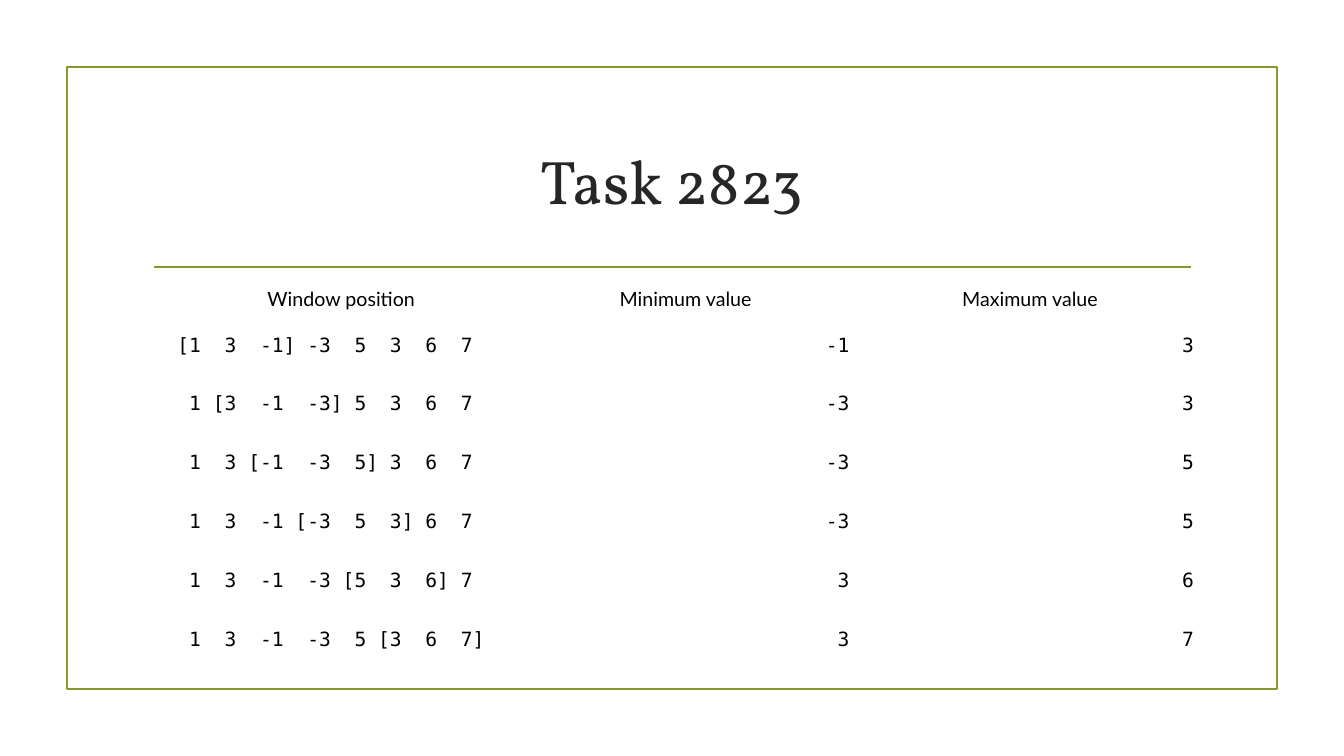
from dataclasses import dataclass

from pptx import Presentation
from pptx.dml.color import RGBColor
from pptx.enum.shapes import MSO_CONNECTOR, MSO_SHAPE
from pptx.enum.text import MSO_ANCHOR, MSO_AUTO_SIZE, PP_ALIGN
from pptx.oxml.ns import qn
from pptx.util import Emu, Pt
from lxml.etree import SubElement

PX = 9525
COLORS = {"olive": "83992A", "title": "262626", "text": "000000"}
TITLE_FONT, HEADER_FONT, VALUE_FONT = "Vollkorn", "Lato", "DejaVu Sans Mono"
HEADERS = ["Window position", "Minimum value", "Maximum value"]
NUMBERS = [1, 3, -1, -3, 5, 3, 6, 7]
WINDOW = 3
GAP = " "
COLUMN_WIDTH, HEADER_HEIGHT, ROW_HEIGHT = 328, 32, 56


@dataclass
class Box:
    left: int
    top: int
    width: int
    height: int

    def emu(self) -> tuple[Emu, ...]:
        return tuple(px(v) for v in (self.left, self.top, self.width, self.height))


@dataclass
class CellText:
    text: str
    font: str
    align: PP_ALIGN


FRAME = Box(64, 64, 1152, 592)
TITLE = Box(136, 103, 1008, 137)
RULE = Box(147, 254, 987, 0)
TABLE = Box(161, 269, COLUMN_WIDTH * 3, HEADER_HEIGHT + ROW_HEIGHT * 6)


def px(value: int) -> Emu:
    return Emu(value * PX)


def color(name: str) -> RGBColor:
    return RGBColor.from_string(COLORS[name])


def write(tf, text: str, font: str, size: int, ink: str, align: PP_ALIGN) -> None:
    p = tf.paragraphs[0]
    p.alignment = align
    r = p.add_run()
    r.text = text
    r.font.name = font
    r.font.size = Pt(size)
    r.font.bold = False
    r.font.color.rgb = color(ink)


def style_line(line) -> None:
    line.color.rgb = color("olive")
    line.width = Pt(1.25)


def add_frame(s) -> None:
    sp = s.shapes.add_shape(MSO_SHAPE.RECTANGLE, *FRAME.emu())
    sp.shadow.inherit = False
    sp.fill.background()
    style_line(sp.line)


def add_rule(s) -> None:
    left, top, width, height = RULE.emu()
    rule = s.shapes.add_connector(
        MSO_CONNECTOR.STRAIGHT, left, top, left + width, top + height)
    style_line(rule.line)
    SubElement(rule._element.spPr, qn("a:effectLst"))


def add_title(s) -> None:
    title = s.shapes.title
    title.left, title.top, title.width, title.height = TITLE.emu()
    tf = title.text_frame
    tf.auto_size = MSO_AUTO_SIZE.NONE
    tf.vertical_anchor = MSO_ANCHOR.MIDDLE
    write(tf, "Task 2823", TITLE_FONT, 44, "title", PP_ALIGN.CENTER)


def window_text(start: int) -> str:
    parts = []
    for i, number in enumerate(NUMBERS):
        before = "[" if i == start else GAP
        after = "]" if i == start + WINDOW - 1 else GAP
        parts.append(f"{before}{number}{after}")
    return "".join(parts)


def table_rows() -> list[list[CellText]]:
    rows = [[CellText(h, HEADER_FONT, PP_ALIGN.CENTER) for h in HEADERS]]
    for start in range(len(NUMBERS) - WINDOW + 1):
        window = NUMBERS[start:start + WINDOW]
        rows.append([
            CellText(window_text(start), VALUE_FONT, PP_ALIGN.LEFT),
            CellText(str(min(window)), VALUE_FONT, PP_ALIGN.RIGHT),
            CellText(str(max(window)), VALUE_FONT, PP_ALIGN.RIGHT),
        ])
    return rows


def add_window_table(s) -> None:
    rows = table_rows()
    table = s.shapes.add_table(len(rows), len(HEADERS), *TABLE.emu()).table
    table.first_row = table.horz_banding = False
    for column in table.columns:
        column.width = px(COLUMN_WIDTH)
    for i, row in enumerate(rows):
        table.rows[i].height = px(ROW_HEIGHT if i else HEADER_HEIGHT)
        for j, item in enumerate(row):
            cell = table.cell(i, j)
            cell.fill.background()
            cell.vertical_anchor = MSO_ANCHOR.MIDDLE
            cell.margin_left = cell.margin_right = px(8)
            cell.margin_top = cell.margin_bottom = px(4)
            write(cell.text_frame, item.text, item.font, 14, "text", item.align)


def main() -> None:
    prs = Presentation()
    prs.slide_width, prs.slide_height = px(1280), px(720)
    s = prs.slides.add_slide(prs.slide_layouts[5])
    add_frame(s)
    add_rule(s)
    add_title(s)
    add_window_table(s)
    prs.save("out.pptx")


if __name__ == "__main__":
    main()
